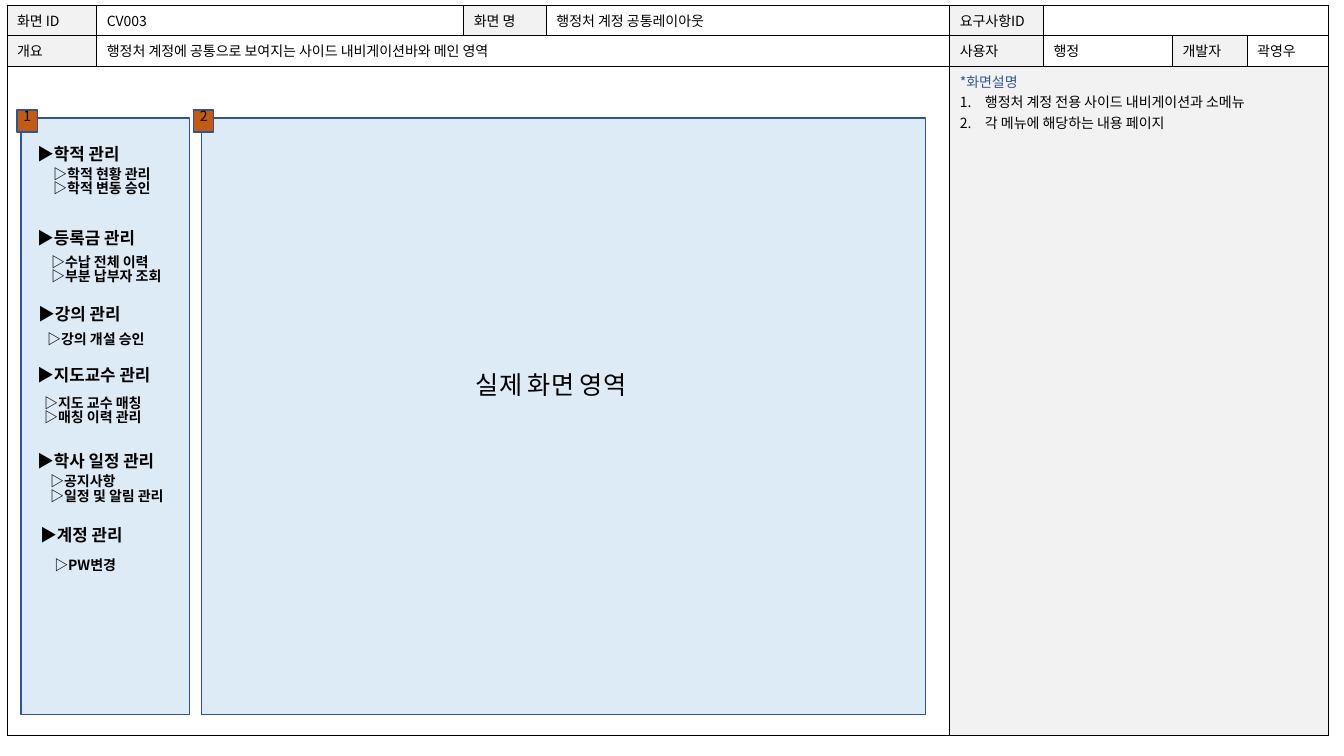
from typing import NamedTuple

from lxml.etree import SubElement as Sub
from pptx import Presentation
from pptx.dml.color import RGBColor as Rgb
from pptx.enum.shapes import MSO_SHAPE as Kind
from pptx.enum.text import MSO_ANCHOR as Anchor, PP_ALIGN as Align
from pptx.oxml import parse_xml
from pptx.oxml.ns import nsdecls, qn
from pptx.util import Inches, Pt

FONT = "Noto Sans CJK KR"
BLACK, WHITE, GRAY = "000000", "FFFFFF", "F2F2F2"
PALE, NAVY, RUST, BLUE = "DDEBF7", "31538F", "C55A11", "2F5597"


class Cell(NamedTuple):
    row: int
    col: int
    text: str = ""
    span: int = 1
    fill: str = WHITE


class Menu(NamedTuple):
    left: float
    top: float
    title: str
    sub_left: float
    sub_top: float
    items: list[str]


def color(code: str) -> Rgb:
    return Rgb.from_string(code)


def put(frame, lines: list[str], size: float = 10, tint: str = BLACK,
        bold: bool = False, align=Align.LEFT, pad: tuple = (0.1, 0.05),
        space: float = 1.0) -> None:
    """Fill a text frame with one paragraph per line."""
    frame.word_wrap = True
    frame.margin_left = frame.margin_right = Inches(pad[0])
    frame.margin_top = frame.margin_bottom = Inches(pad[1])
    frame.vertical_anchor = Anchor.TOP
    for i, line in enumerate(lines):
        para = frame.add_paragraph() if i else frame.paragraphs[0]
        para.alignment, para.line_spacing = align, space
        run = para.add_run()
        run.text = line
        run.font.size, run.font.bold = Pt(size), bold
        run.font.color.rgb = color(tint)
        run.font.name = FONT
        Sub(run.font._element, qn("a:ea"), typeface=FONT)


def label(left: float, top: float, width: float, height: float,
          lines: list[str], **form) -> None:
    box = shapes.add_textbox(*map(Inches, (left, top, width, height)))
    put(box.text_frame, lines, **form)


def rect(left: float, top: float, width: float, height: float, fill: str):
    box = shapes.add_shape(Kind.RECTANGLE, *map(Inches, (left, top, width, height)))
    box.shadow.inherit = False
    box.fill.solid()
    box.fill.fore_color.rgb = color(fill)
    box.line.color.rgb = color(NAVY)
    box.line.width = Pt(1)
    return box


def border(cell) -> None:
    props = cell._tc.get_or_add_tcPr()
    for i, side in enumerate("LRTB"):
        props.insert(i, parse_xml(
            f'<a:ln{side} {nsdecls("a")} w="9525"><a:solidFill>'
            f'<a:srgbClr val="{BLACK}"/></a:solidFill></a:ln{side}>'))


def number(para) -> None:
    props = para._p.get_or_add_pPr()
    props.set("marL", str(Inches(0.25)))
    props.set("indent", str(-Inches(0.25)))
    Sub(props, qn("a:buFont"), typeface="+mj-lt")
    Sub(props, qn("a:buAutoNum"), type="arabicPeriod")


deck = Presentation()
deck.slide_width, deck.slide_height = Inches(13.33), Inches(7.5)
shapes = deck.slides.add_slide(deck.slide_layouts[6]).shapes

# Form table
COLS = [0.89, 3.64, 0.82, 4, 0.93, 1.28, 0.74, 0.81]
ROWS = [0.3, 0.31, 6.64]
CELLS = [
    Cell(0, 0, "화면 ID", fill=GRAY), Cell(0, 1, "CV003"),
    Cell(0, 2, "화면 명", fill=GRAY), Cell(0, 3, "행정처 계정 공통레이아웃"),
    Cell(0, 4, "요구사항ID", fill=GRAY), Cell(0, 5, span=3),
    Cell(1, 0, "개요", fill=GRAY),
    Cell(1, 1, "행정처 계정에 공통으로 보여지는 사이드 내비게이션바와 메인 영역", span=3),
    Cell(1, 4, "사용자", fill=GRAY), Cell(1, 5, "행정"),
    Cell(1, 6, "개발자", fill=GRAY), Cell(1, 7, "곽영우"),
    Cell(2, 0, span=4), Cell(2, 4, span=4, fill=GRAY),
]
NOTES = ["행정처 계정 전용 사이드 내비게이션과 소메뉴",
         "각 메뉴에 해당하는 내용 페이지"]

table = shapes.add_table(len(ROWS), len(COLS), Inches(0.07), Inches(0.05),
                         Inches(sum(COLS)), Inches(sum(ROWS))).table
table.first_row = table.horz_banding = False
for col, width in zip(table.columns, COLS):
    col.width = Inches(width)
for row, height in zip(table.rows, ROWS):
    row.height = Inches(height)
for cell in table.iter_cells():
    border(cell)
    Sub(cell.text_frame.paragraphs[0]._p, qn("a:endParaRPr"), sz="1000")
for item in CELLS:
    cell = table.cell(item.row, item.col)
    if item.span > 1:
        cell.merge(table.cell(item.row, item.col + item.span - 1))
    cell.fill.solid()
    cell.fill.fore_color.rgb = color(item.fill)
    if item.text:
        put(cell.text_frame, [item.text])

# Screen notes
frame = table.cell(2, 4).text_frame
put(frame, ["*화면설명", *NOTES])
frame.paragraphs[0].runs[0].font.color.rgb = color(BLUE)
for para in frame.paragraphs[1:]:
    number(para)

# Main area and side bar, with their badges
for mark, left, width, tag in (("2", 2, 7.18, 1.92), ("1", 0.21, 1.67, 0.17)):
    rect(left, 1.17, width, 5.92, PALE)
    badge = rect(tag, 1.09, 0.2, 0.22, RUST)
    put(badge.text_frame, [mark], align=Align.CENTER, pad=(0, 0), space=0.84)
label(4.52, 3.6, 1.89, 0.44, ["실제 화면 영역"], size=18,
      align=Align.CENTER, pad=(0.1, 0.1), space=0.9)

# Side menus
MENUS = [
    Menu(0.27, 1.4, "학적 관리", 0.43, 1.62, ["학적 현황 관리", "학적 변동 승인"]),
    Menu(0.27, 2.23, "등록금 관리", 0.41, 2.49, ["수납 전체 이력", "부분 납부자 조회"]),
    Menu(0.28, 2.99, "강의 관리", 0.37, 3.26, ["강의 개설 승인"]),
    Menu(0.27, 3.59, "지도교수 관리", 0.34, 3.89, ["지도 교수 매칭", "매칭 이력 관리"]),
    Menu(0.27, 4.44, "학사 일정 관리", 0.4, 4.67, ["공지사항", "일정 및 알림 관리"]),
    Menu(0.3, 5.18, "계정 관리", 0.44, 5.5, ["PW변경"]),
]
for menu in MENUS:
    label(menu.left, menu.top, 1.89, 0.3, ["▶" + menu.title],
          size=12, bold=True, space=0.9)
    label(menu.sub_left, menu.sub_top, 1.5, 0.1 + 0.17 * len(menu.items),
          ["▷" + name for name in menu.items], bold=True, space=0.84)

deck.save("out.pptx")
